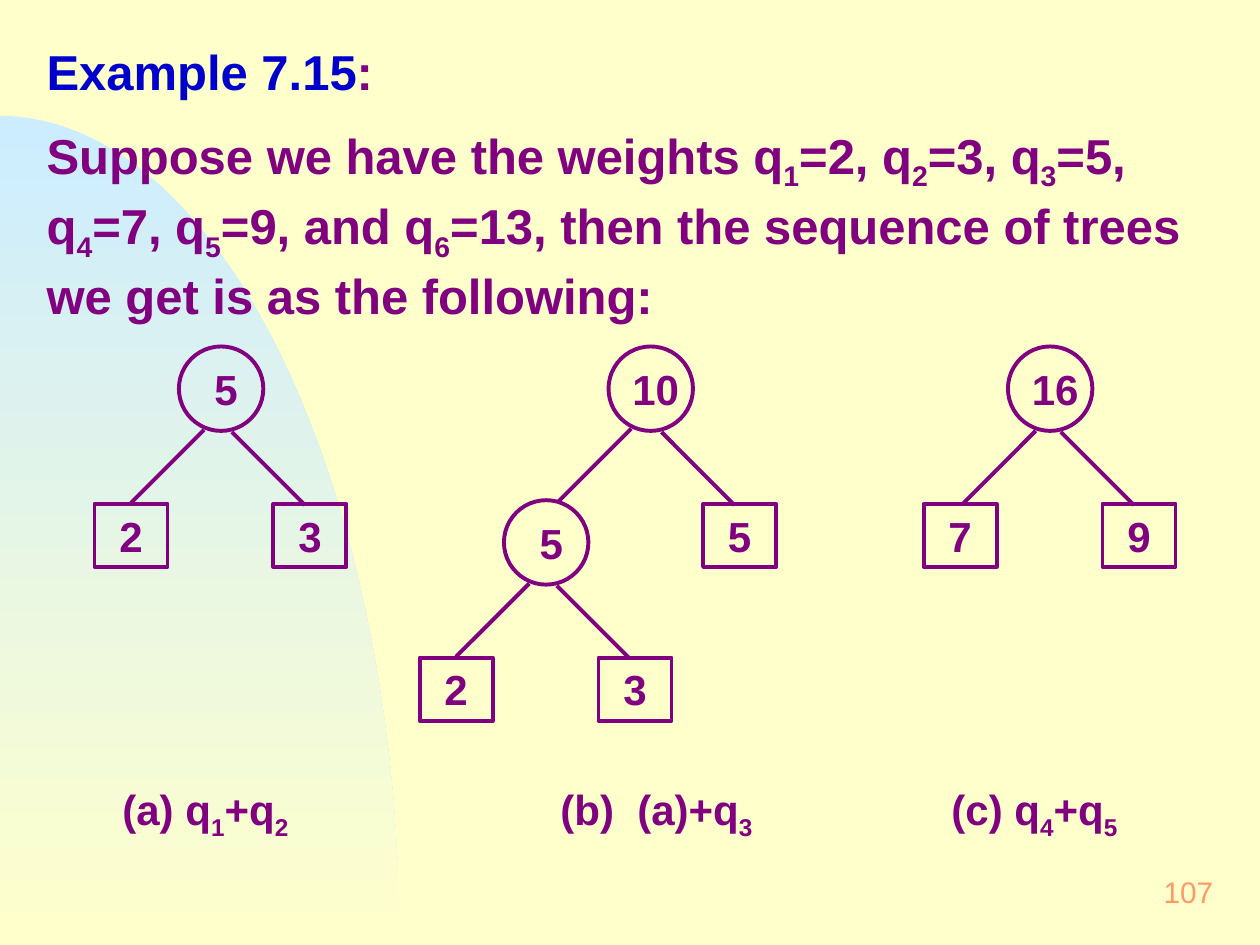
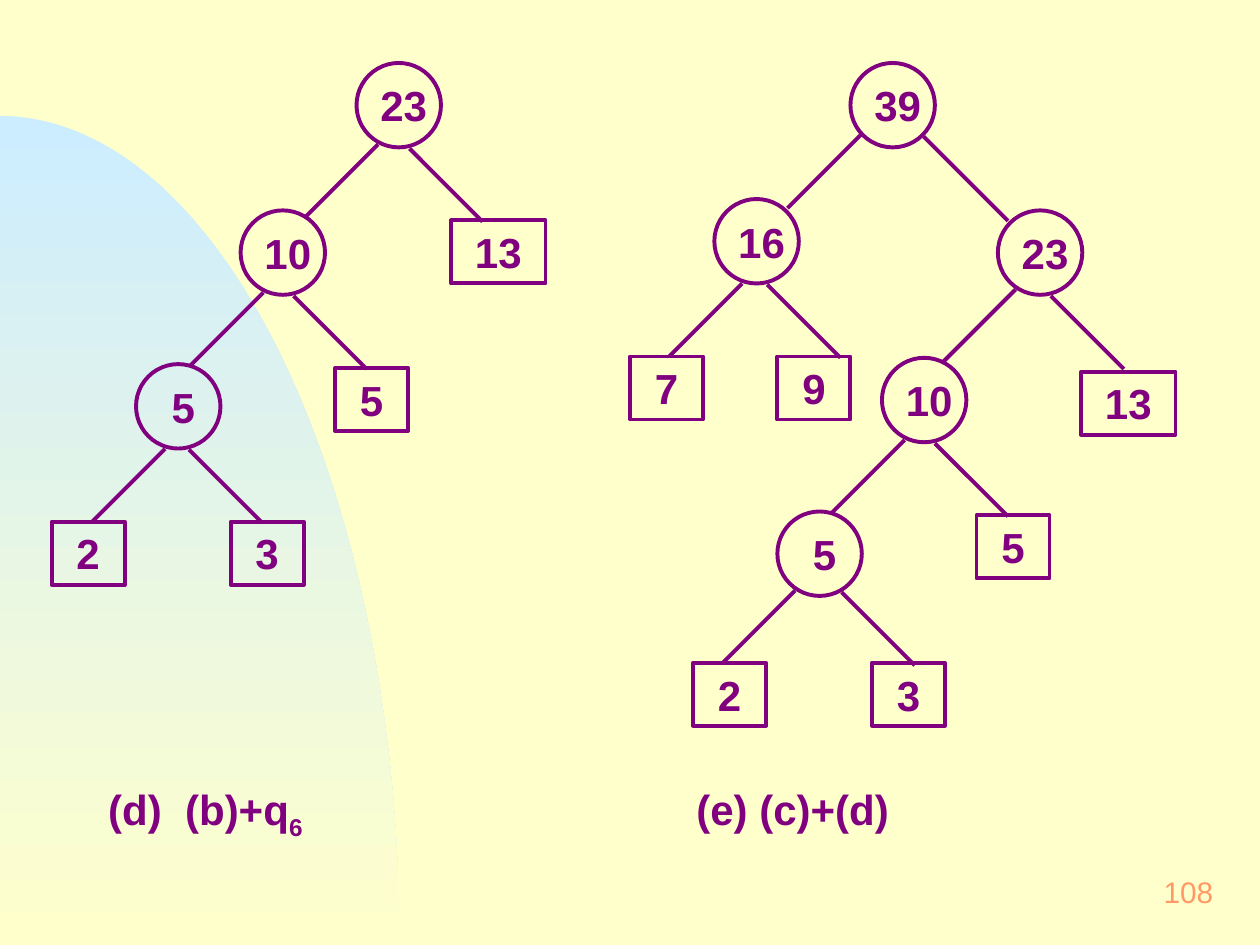
from dataclasses import dataclass
from math import cos, pi, sin, sqrt

from lxml import etree
from pptx import Presentation
from pptx import util as u
from pptx.dml import color
from pptx.enum import shapes, text
from pptx.oxml import ns

CREAM, SKY, PURPLE, BLUE, ORANGE = "FFFFCC", "CCECFF", "800080", "0000CC", "FF9966"
BODY = dict(size=u.Pt(28), bold=True)
NODE = dict(size=u.Pt(24), bold=True)
NUMBER = dict(size=u.Pt(17), bold=False)
WIDE = (0.12, 0.06, 0.12, 0.06)
NARROW = (0.1, 0.05, 0.1, 0.05)
DIAMETER = 0.67
LEAF_HEIGHT = 0.5


@dataclass
class Node:
    """A tree node placed relative to its parent, with the ends of its branches."""
    label: str
    dx: float = 0
    dy: float = 0
    children: tuple = ()
    feet: tuple = (0.2, 0.42)
    reach: tuple = (-0.58, 0.58)


def paint(target, value):
    """Give a fill or font colour object a hex colour."""
    target.rgb = color.RGBColor.from_string(value)


def apply(target, values):
    """Set every attribute in a dict of values."""
    for name, value in values.items():
        setattr(target, name, value)


def place(shape, box):
    """Move and size a shape to a box in inches."""
    apply(shape, dict(zip(("left", "top", "width", "height"), map(u.Inches, box))))


def setup_frame(frame, insets, anchor=text.MSO_ANCHOR.TOP, wrap=True):
    """Set margins, anchor and wrapping of a text frame."""
    sides = ("margin_left", "margin_top", "margin_right", "margin_bottom")
    apply(frame, dict(zip(sides, map(u.Inches, insets))))
    apply(frame, dict(vertical_anchor=anchor, word_wrap=wrap, auto_size=text.MSO_AUTO_SIZE.NONE))


def add_span(para, words, style, shade):
    """Append a formatted run."""
    span = para.add_run()
    span.text = words
    apply(span.font, dict(style, name="Arial"))
    paint(span.font.color, shade)
    return span


def write(para, words, style, shade=PURPLE, align=text.PP_ALIGN.CENTER):
    """Write text in which an underscore lowers the next character."""
    para.alignment = align
    first, *rest = words.split("_")
    add_span(para, first, style, shade)
    for part in rest:
        lowered = add_span(para, part[0], style, shade)
        lowered._r.get_or_add_rPr().set("baseline", "-25000")
        if part[1:]:
            add_span(para, part[1:], style, shade)


def add_text(page, box, words, style, insets=NARROW, shade=PURPLE,
             align=text.PP_ALIGN.CENTER, **frame_options):
    """Add a text box and return its paragraph."""
    frame = page.shapes.add_textbox(*map(u.Inches, box)).text_frame
    setup_frame(frame, insets, **frame_options)
    para = frame.paragraphs[0]
    write(para, words, style, shade, align)
    return para


def outline(line):
    """Format a node or branch line."""
    line.width = u.Pt(2.25)
    paint(line.color, PURPLE)


def add_master_band(deck, page):
    """Set the background and put the curved band on the slide master."""
    master = deck.slide_master
    master.background.fill.solid()
    paint(master.background.fill.fore_color, CREAM)
    width, height, base, steps = 3.17, 6.58, 7.5, 60
    angles = [pi / 2 * step / steps for step in range(steps + 1)]
    curve = [(u.Inches(width * sin(a)), u.Inches(base - height * cos(a))) for a in angles]
    builder = page.shapes.build_freeform(*curve[0])
    builder.add_line_segments(curve[1:] + [(0, u.Inches(base))], close=True)
    band = builder.convert_to_shape()
    band.shadow.inherit = False
    band.line.fill.background()
    band.fill.gradient()
    band.fill.gradient_angle = 270
    for stop, shade, position in zip(band.fill.gradient_stops, (SKY, CREAM), (0, 1)):
        paint(stop.color, shade)
        stop.position = position
    master.shapes.element.insert(2, band.element)


def add_number(page, number):
    """Write the page number at the lower right."""
    add_text(page, (7.67, 6.83, 2.08, 0.5), str(number), NUMBER, WIDE, ORANGE,
             text.PP_ALIGN.RIGHT, anchor=text.MSO_ANCHOR.MIDDLE, wrap=False)


def add_branch(page, x, y, foot, reach):
    """Draw a diagonal branch from the rim of a circle."""
    radius = DIAMETER / 2
    x, y = x + foot, y + radius + sqrt(radius ** 2 - (foot - radius) ** 2) + 0.02
    ends = map(u.Inches, (x, y, x + reach, y + abs(reach)))
    branch = page.shapes.add_connector(shapes.MSO_CONNECTOR.STRAIGHT, *ends)
    outline(branch.line)
    etree.SubElement(branch.element.spPr, ns.qn("a:effectLst"))


def add_tree(page, node, x, y):
    """Draw a node at a point, then its branches and subtrees."""
    if node.children:
        kind, width, height = shapes.MSO_SHAPE.OVAL, DIAMETER, DIAMETER
        insets = (0.08, 0, 0, 0)
    else:
        kind, height = shapes.MSO_SHAPE.RECTANGLE, LEAF_HEIGHT
        width = 0.58 if len(node.label) == 1 else 0.75
        insets = NARROW
    shape = page.shapes.add_shape(kind, *map(u.Inches, (x, y, width, height)))
    shape.shadow.inherit = False
    shape.fill.background()
    outline(shape.line)
    setup_frame(shape.text_frame, insets, text.MSO_ANCHOR.MIDDLE)
    write(shape.text_frame.paragraphs[0], node.label, NODE)
    for child, foot, reach in zip(node.children, node.feet, node.reach):
        add_branch(page, x, y, foot, reach)
        add_tree(page, child, x + child.dx, y + child.dy)


def leaves(left, right, drop=1.25, right_dx=0.75):
    """Return a pair of leaf nodes."""
    return Node(left, -0.67, drop), Node(right, right_dx, drop)


def five(drop=1.25, **ends):
    """Return the subtree of weight 5."""
    return Node("5", -0.83, 1.22, leaves("2", "3", drop), **ends)


def ten(subtree):
    """Return the subtree of weight 10."""
    return Node("10", -0.92, 1.17, (subtree, Node("5", 0.75, 1.25)), feet=(0.18, 0.42))


def add_figure(page, tree, x, y, caption, caption_left):
    """Draw a tree and its caption."""
    add_tree(page, tree, x, y)
    add_text(page, (caption_left, 6.17, 1.92, 0.56), caption, NODE)


def add_example_text(page):
    """Write the title and the statement of the example."""
    title = page.shapes.title
    place(title, (0.25, 0.25, 9.58, 0.6))
    setup_frame(title.text_frame, WIDE)
    heading = title.text_frame.paragraphs[0]
    write(heading, "Example 7.15", BODY, BLUE, text.PP_ALIGN.LEFT)
    add_span(heading, ":", BODY, PURPLE)
    statement = add_text(
        page, (0.25, 0.91, 9.58, 1.75),
        "Suppose we have the weights q_1=2, q_2=3, q_3=5, q_4=7, q_5=9, and q_6=13, "
        "then the sequence of trees we get is as the following:",
        BODY, WIDE, align=text.PP_ALIGN.LEFT)
    heading.line_spacing = statement.line_spacing = 1.05


def main():
    """Build the two slides."""
    deck = Presentation()
    deck.slide_width, deck.slide_height = u.Inches(10), u.Inches(7.5)
    title_only, blank = deck.slide_layouts[5], deck.slide_layouts[6]

    first = deck.slides.add_slide(title_only)
    add_master_band(deck, first)
    add_example_text(first)
    sixteen = Node("16", -1.08, 1.08, leaves("7", "9"), feet=(0.22, 0.42))
    add_figure(first, five(), 1.42, 2.75, "(a) q_1+q_2", 0.67)
    add_figure(first, ten(five()), 4.83, 2.75, "(b)  (a)+q_3", 4.25)
    add_figure(first, sixteen, 8, 2.75, "(c) q_4+q_5", 7.25)
    add_number(first, 107)

    second = deck.slides.add_slide(blank)
    tree_d = Node("23", children=(ten(five(feet=(0.23, 0.42))), Node("13", 0.75, 1.25)),
                  feet=(0.17, 0.42))
    sixteen.children = leaves("7", "9", right_dx=0.5)
    low_five = five(1.2, feet=(0.14, 0.51))
    twenty_three = Node("23", 1.17, 1.17, (ten(low_five), Node("13", 0.66, 1.28)),
                        feet=(0.14, 0.42))
    tree_e = Node("39", children=(sixteen, twenty_three), feet=(0.08, 0.58),
                  reach=(-0.58, 0.67))
    add_figure(second, tree_d, 2.83, 0.5, "(d)  (b)+q_6", 0.67)
    add_figure(second, tree_e, 6.75, 0.5, "(e) (c)+(d)", 5.33)
    add_number(second, 108)

    deck.save("out.pptx")


if __name__ == "__main__":
    main()
